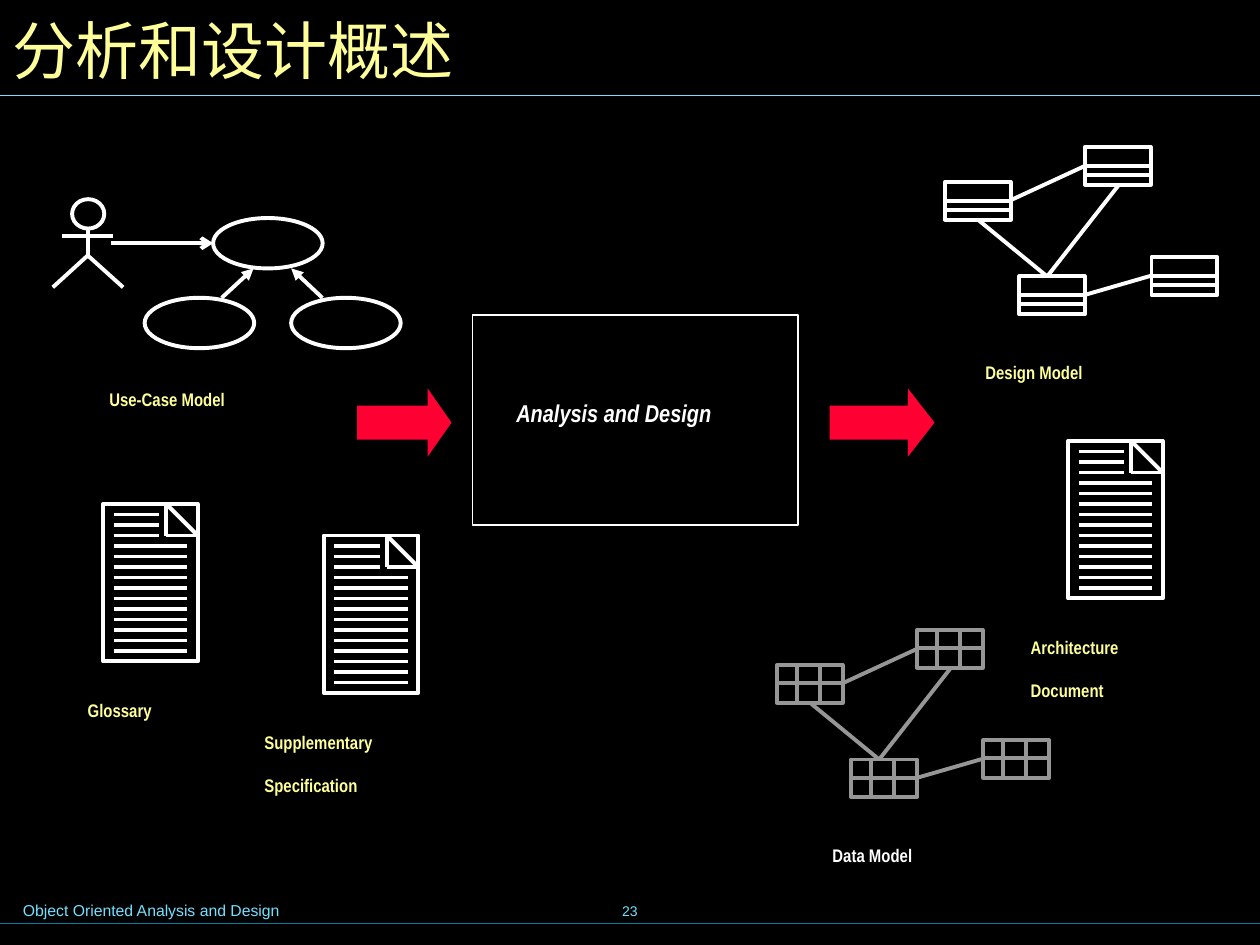
from dataclasses import dataclass

from lxml import etree
from pptx import Presentation
from pptx.dml.color import RGBColor
from pptx.enum.shapes import MSO_CONNECTOR, MSO_SHAPE
from pptx.enum.text import MSO_ANCHOR, MSO_AUTO_SIZE, PP_ALIGN
from pptx.oxml.ns import qn
from pptx.util import Pt

RECTANGLE = MSO_SHAPE.RECTANGLE
OVAL = MSO_SHAPE.OVAL
RIGHT_ARROW = MSO_SHAPE.RIGHT_ARROW
STRAIGHT = MSO_CONNECTOR.STRAIGHT
MIDDLE = MSO_ANCHOR.MIDDLE
TOP = MSO_ANCHOR.TOP
LEFT = PP_ALIGN.LEFT
CENTER = PP_ALIGN.CENTER
NO_AUTOFIT = MSO_AUTO_SIZE.NONE


@dataclass(frozen=True)
class Theme:
    background: RGBColor = RGBColor.from_string("000000")
    white: RGBColor = RGBColor.from_string("FFFFFF")
    gray: RGBColor = RGBColor.from_string("969696")
    yellow: RGBColor = RGBColor.from_string("FFFF99")
    cyan: RGBColor = RGBColor.from_string("73E1FF")
    teal: RGBColor = RGBColor.from_string("007E9F")
    red: RGBColor = RGBColor.from_string("FF0033")
    narrow: str = "Arial Narrow"
    plain: str = "Arial"
    title_size: float = 36
    process_size: float = 24
    label_size: float = 18
    footer_size: float = 9
    number_size: float = 8
    stroke: float = 2.25
    hairline: float = 0.75
    frame: float = 1


THEME = Theme()


def add_line(shapes, start, end, color=THEME.white, width=THEME.stroke, arrowhead=None):
    connector = shapes.add_connector(STRAIGHT, *(Pt(value) for value in (*start, *end)))
    connector.line.color.rgb = color
    connector.line.width = Pt(width)
    properties = connector._element.spPr
    if arrowhead:
        etree.SubElement(properties.find(qn("a:ln")), qn("a:tailEnd"), type=arrowhead)
    etree.SubElement(properties, qn("a:effectLst"))


def outline(shape, color=THEME.white, width=THEME.stroke):
    shape.shadow.inherit = False
    shape.fill.background()
    shape.line.color.rgb = color
    shape.line.width = Pt(width)


def add_outline(shapes, kind, box, color=THEME.white, width=THEME.stroke):
    outline(shapes.add_shape(kind, *(Pt(value) for value in box)), color, width)


def write(frame, lines, size, color, font, align=LEFT, anchor=TOP,
          bold=False, italic=False, baseline=None):
    frame.auto_size = NO_AUTOFIT
    frame.word_wrap = True
    frame.vertical_anchor = anchor
    for index, line in enumerate(lines):
        paragraph = frame.add_paragraph() if index else frame.paragraphs[0]
        paragraph.alignment = align
        run = paragraph.add_run()
        run.text = line
        run.font.size = Pt(size)
        run.font.name = font
        run.font.bold = bold
        run.font.italic = italic
        run.font.color.rgb = color
        if baseline:
            run.font._element.set("baseline", str(baseline))


def add_text(shapes, box, lines, size, color, font, **options):
    textbox = shapes.add_textbox(*(Pt(value) for value in box))
    write(textbox.text_frame, lines, size, color, font, **options)


def add_label(shapes, box, lines, color=THEME.yellow, size=THEME.label_size, italic=False):
    add_text(shapes, box, lines, size, color, THEME.narrow,
             bold=True, italic=italic, baseline=-25000)


def add_title(slide, box, text):
    title = slide.shapes.title
    title.left, title.top, title.width, title.height = (Pt(value) for value in box)
    write(title.text_frame, [text], THEME.title_size, THEME.yellow, THEME.narrow, anchor=MIDDLE)
    left, top, width, height = box
    add_line(slide.shapes, (0, 54.7), (720, 54.7), THEME.cyan, THEME.hairline)


def add_footer(slide, box, text, number):
    left, top, width, height = box
    add_text(slide.shapes, (left + 6, top + 8.6, 367, 18), [text],
             THEME.footer_size, THEME.cyan, THEME.plain)
    add_text(slide.shapes, (left + 246, top, 228, height), [number],
             THEME.number_size, THEME.cyan, THEME.plain, align=CENTER, anchor=MIDDLE)
    add_line(slide.shapes, (left, top + 25.2), (left + width, top + 25.2),
             THEME.teal, THEME.hairline)


def add_document(slide, box, label_box, lines):
    shapes = slide.shapes.add_group_shape().shapes
    left, top, width, height = box
    right, fold, step = left + width, 18, 6
    add_outline(shapes, RECTANGLE, box)
    corners = [(right - fold, top), (right, top + fold), (right - fold, top + fold)]
    for start, end in zip(corners, corners[1:] + corners[:1]):
        add_line(shapes, start, end)
    for row in range(1, 15):
        y = top + row * step
        end = right - fold - 4 if row * step <= fold else right - step
        add_line(shapes, (left + step, y), (end, y))
    x, y, label_width, label_height = label_box
    add_label(shapes, (left + x, top + y, label_width, label_height), lines)


def add_network(slide, box, dividers, color, label_box, label, label_color):
    shapes = slide.shapes.add_group_shape().shapes
    left, top, node_width, node_height = box
    links = [(58.4, 74, 19.4, 42), (37.6, 30.4, 80, 10.8),
             (80, 84.5, 118, 73.5), (58.4, 74, 99.4, 21.6)]
    for x1, y1, x2, y2 in links:
        add_line(shapes, (left + x1, top + y1), (left + x2, top + y2), color)
    for x, y in [(0, 20), (80, 0), (42.4, 74), (118, 63)]:
        node_left, node_top = left + x, top + y
        add_outline(shapes, RECTANGLE, (node_left, node_top, node_width, node_height), color)
        for x1, y1, x2, y2 in dividers:
            add_line(shapes, (node_left + x1 * node_width, node_top + y1 * node_height),
                     (node_left + x2 * node_width, node_top + y2 * node_height), color)
    x, y, width, height = label_box
    add_label(shapes, (left + x, top + y, width, height), [label], label_color)


def add_use_case_model(slide, box):
    shapes = slide.shapes.add_group_shape().shapes
    left, top, width, height = box
    add_outline(shapes, OVAL, (left + 11, top, 18.4, 16.8))
    legs = shapes.build_freeform(Pt(left), Pt(top + 50.4), scale=1.0)
    legs.add_line_segments([(Pt(left + 20), Pt(top + 32.2)),
                            (Pt(left + 40.2), Pt(top + 50.4))], close=False)
    outline(legs.convert_to_shape())
    for x, y in [(91.6, 10.8), (52.5, 56.4), (136.2, 56.4)]:
        add_outline(shapes, OVAL, (left + x, top + y, 62.6, 28.8))
    strokes = [(20, 17, 20, 32.2, None), (5.4, 21.2, 34.6, 21.2, None),
               (33, 25.2, 91.6, 25.2, "arrow"), (96.5, 56.4, 114.7, 39.6, "triangle"),
               (154, 56.4, 136.2, 39.6, "triangle")]
    for x1, y1, x2, y2, arrowhead in strokes:
        add_line(shapes, (left + x1, top + y1), (left + x2, top + y2), arrowhead=arrowhead)
    add_label(shapes, (left + 25.2, top + 92.6, 130, 29), ["Use-Case Model"])


def add_process(slide, box, text):
    left, top, width, height = box
    shapes = slide.shapes.add_group_shape().shapes
    add_outline(shapes, RECTANGLE, box, width=THEME.frame)
    add_label(shapes, (left + 18, top + 28, width - 36, 65), [text],
              THEME.white, THEME.process_size, italic=True)


def add_flow_arrow(slide, box, head):
    arrow = slide.shapes.add_shape(RIGHT_ARROW, *(Pt(value) for value in box))
    arrow.shadow.inherit = False
    arrow.adjustments[0] = 0.5
    arrow.adjustments[1] = head
    arrow.fill.solid()
    arrow.fill.fore_color.rgb = THEME.red
    arrow.line.fill.background()


def main():
    presentation = Presentation()
    presentation.slide_width, presentation.slide_height = Pt(720), Pt(540)
    slide = presentation.slides.add_slide(presentation.slide_layouts[5])
    slide.background.fill.solid()
    slide.background.fill.fore_color.rgb = THEME.background
    add_title(slide, (0, 0, 715, 56), "分析和设计概述")
    add_footer(slide, (0, 502.6, 720, 36), "Object Oriented Analysis and Design", "23")
    add_document(slide, (185, 306, 54, 90), (-41, 96, 122, 51), ["Supplementary", "Specification"])
    add_use_case_model(slide, (30.2, 113.8, 199, 122))
    class_rows = [(0, 0.5, 1, 0.5), (0, 0.74, 1, 0.74)]
    table_cells = [(0, 0.48, 1, 0.48), (0.3, 0, 0.3, 1), (0.65, 0, 0.65, 1)]
    add_network(slide, (540, 84, 37.6, 21.6), class_rows, THEME.white,
                (16, 106.6, 112, 29), "Design Model", THEME.yellow)
    add_network(slide, (444, 360, 37.6, 21.6), table_cells, THEME.gray,
                (24.6, 106.6, 95, 29), "Data Model", THEME.white)
    add_document(slide, (610.4, 252, 54, 90), (-28.6, 96, 102, 51), ["Architecture", "Document"])
    add_process(slide, (270, 180, 186, 120), "Analysis and Design")
    add_flow_arrow(slide, (204, 222, 54, 39), 0.35)
    add_flow_arrow(slide, (474, 222, 60, 39), 0.39)
    add_document(slide, (59, 288, 54, 90), (-16, 96, 79, 29), ["Glossary"])
    presentation.save("out.pptx")


if __name__ == "__main__":
    main()
